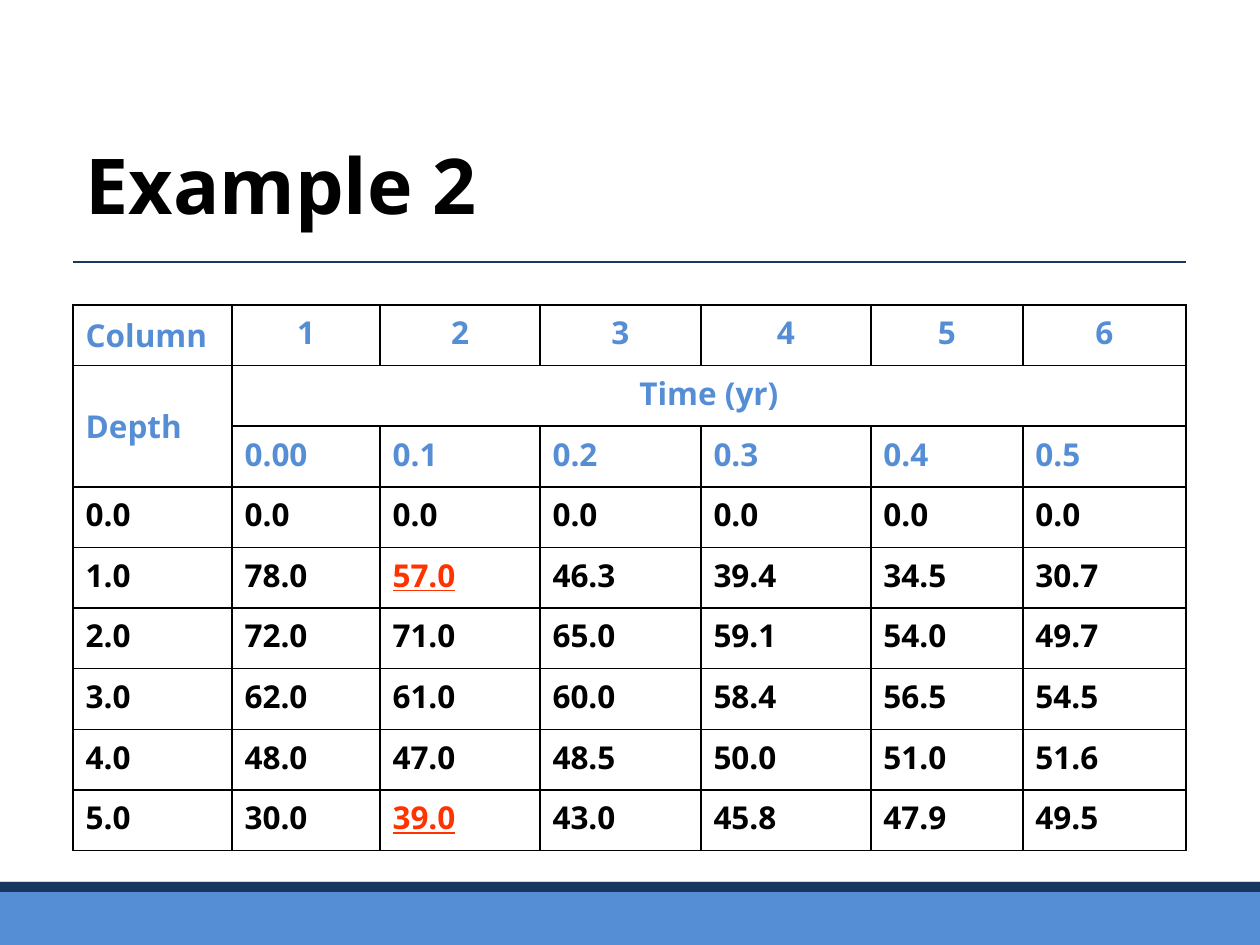
from lxml import etree
from pptx import Presentation
from pptx.dml.color import RGBColor
from pptx.enum.shapes import MSO_CONNECTOR, MSO_SHAPE
from pptx.enum.text import MSO_ANCHOR, PP_ALIGN
from pptx.oxml.ns import qn
from pptx.util import Pt

LEFT, CENTER = PP_ALIGN.LEFT, PP_ALIGN.CENTER
TOP, MIDDLE = MSO_ANCHOR.TOP, MSO_ANCHOR.MIDDLE
STRAIGHT, RECTANGLE = MSO_CONNECTOR.STRAIGHT, MSO_SHAPE.RECTANGLE

COLORS = {"black": "000000", "white": "FFFFFF", "blue": "558ED5",
          "navy": "17375E", "red": "FF3300"}
FONT = "Open Sans"


def px(value):
    return round(value * 914400 / 126)


def write_text(frame, text, size=18, color="black", align=LEFT, underline=False):
    paragraph = frame.paragraphs[0]
    paragraph.alignment = align
    run = paragraph.add_run()
    run.text = text
    run.font.name = FONT
    run.font.size = Pt(size)
    run.font.bold = True
    run.font.underline = underline
    run.font.color.rgb = RGBColor.from_string(COLORS[color])


presentation = Presentation()
presentation.slide_width, presentation.slide_height = px(1260), px(945)
slide = presentation.slides.add_slide(presentation.slide_layouts[5])

# Title
title = slide.shapes.title
title.left, title.top, title.width, title.height = px(73), px(105), px(1134), px(157)
title.text_frame.vertical_anchor = MIDDLE
write_text(title.text_frame, "Example 2", size=44)

# Rule under the title
rule = slide.shapes.add_connector(STRAIGHT, px(73), px(262), px(1186), px(262))
rule.line.color.rgb = RGBColor.from_string(COLORS["navy"])
rule.line.width = Pt(0.75)
etree.SubElement(rule._element.spPr, qn("a:effectLst"))

# Footer bands
for height, color in ((73, "blue"), (10, "navy")):
    band = slide.shapes.add_shape(RECTANGLE, 0, px(882), px(1260), px(height))
    band.shadow.inherit = False
    band.fill.solid()
    band.fill.fore_color.rgb = RGBColor.from_string(COLORS[color])
    band.line.fill.background()

# Depth and time table
ROWS = [
    ["Column", "1", "2", "3", "4", "5", "6"],
    ["Depth", "Time (yr)", "", "", "", "", ""],
    ["", "0.00", "0.1", "0.2", "0.3", "0.4", "0.5"],
    ["0.0", "0.0", "0.0", "0.0", "0.0", "0.0", "0.0"],
    ["1.0", "78.0", "57.0", "46.3", "39.4", "34.5", "30.7"],
    ["2.0", "72.0", "71.0", "65.0", "59.1", "54.0", "49.7"],
    ["3.0", "62.0", "61.0", "60.0", "58.4", "56.5", "54.5"],
    ["4.0", "48.0", "47.0", "48.5", "50.0", "51.0", "51.6"],
    ["5.0", "30.0", "39.0", "43.0", "45.8", "47.9", "49.5"],
]
COLUMN_WIDTHS = [159, 148, 160, 161, 170, 152, 163]
HEADER_ROWS = 3
HIGHLIGHTS = {(4, 2), (8, 2)}

table = slide.shapes.add_table(len(ROWS), len(COLUMN_WIDTHS), px(73), px(305),
                               px(sum(COLUMN_WIDTHS)), px(546)).table
for column, width in zip(table.columns, COLUMN_WIDTHS):
    column.width = px(width)

for row_index, values in enumerate(ROWS):
    for column_index, text in enumerate(values):
        cell = table.cell(row_index, column_index)

        # Borders come before the fill in the cell properties
        properties = cell._tc.get_or_add_tcPr()
        for side in ("a:lnL", "a:lnR", "a:lnT", "a:lnB"):
            border = etree.SubElement(properties, qn(side), w=str(Pt(1)))
            border_fill = etree.SubElement(border, qn("a:solidFill"))
            etree.SubElement(border_fill, qn("a:srgbClr"), val=COLORS["black"])
        cell.fill.solid()
        cell.fill.fore_color.rgb = RGBColor.from_string(COLORS["white"])

        if not text:
            continue
        is_header = row_index < HEADER_ROWS
        is_highlight = (row_index, column_index) in HIGHLIGHTS
        is_centered = row_index < 2 and column_index > 0
        is_label = row_index < 2 and column_index == 0
        cell.vertical_anchor = MIDDLE if is_label else TOP
        write_text(cell.text_frame, text,
                   color="blue" if is_header else "red" if is_highlight else "black",
                   align=CENTER if is_centered else LEFT,
                   underline=is_highlight)

table.cell(1, 0).merge(table.cell(2, 0))
table.cell(1, 1).merge(table.cell(1, 6))

presentation.save("out.pptx")
